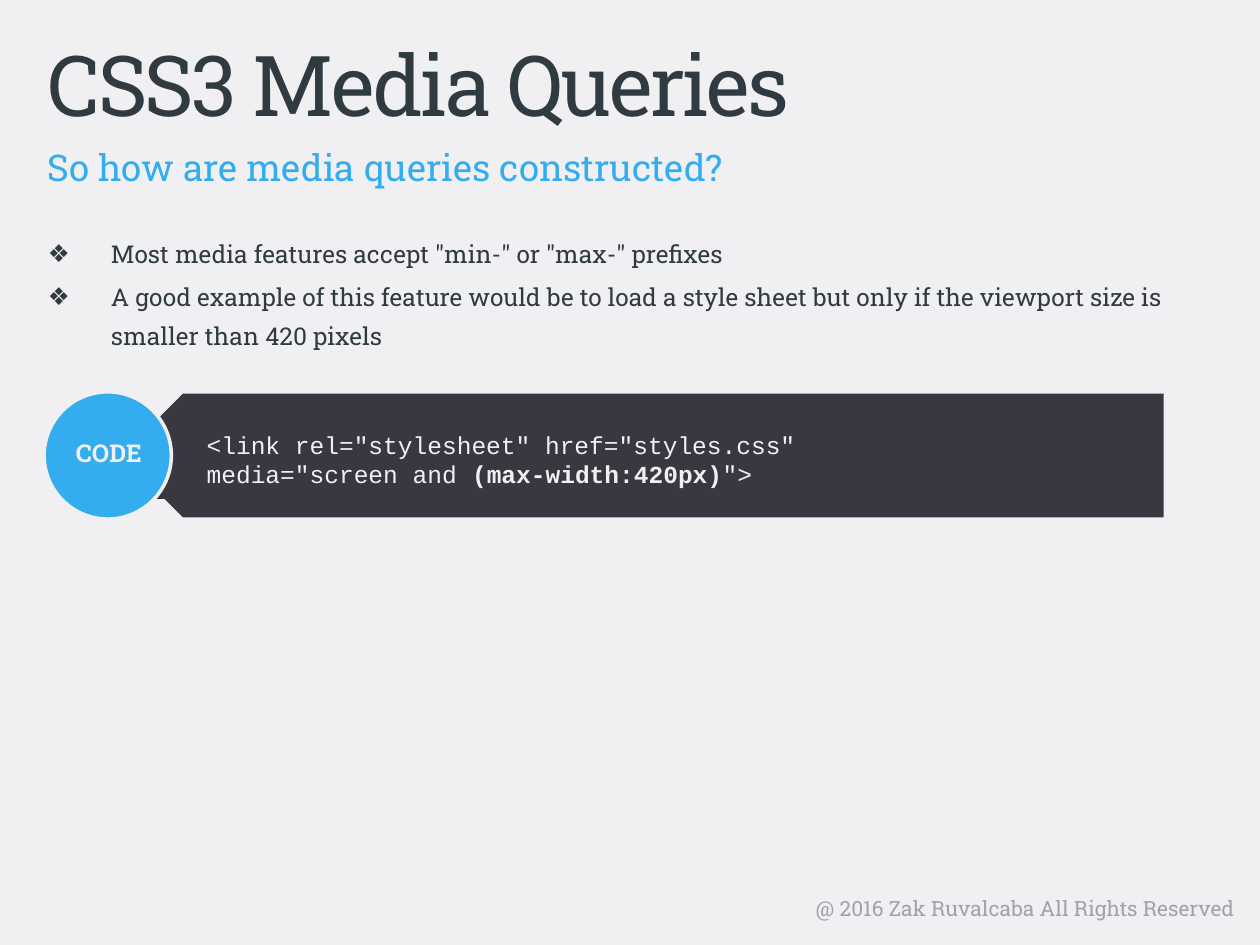
from pptx import Presentation, util as u
from pptx.dml.color import RGBColor
from pptx.enum import shapes, text
from pptx.oxml.ns import qn
from lxml import etree

# Content
TITLE = "CSS3 Media Queries"
SUBTITLE = "So how are media queries constructed?"
BULLETS = [
    'Most media features accept "min-" or "max-" prefixes',
    "A good example of this feature would be to load a style sheet "
    "but only if the viewport size is smaller than 420 pixels",
]
CODE_LINES = [  # each line holds (text, bold) runs
    [('<link rel="stylesheet" href="styles.css"', False)],
    [('media="screen and ', False), ("(max-width:420px)", True), ('">', False)],
]
LABEL = "CODE"
FOOTER = "@ 2016 Zak Ruvalcaba All Rights Reserved"

PAPER, INK, BLUE, DARK, GREY = "F0F0F2", "303B41", "34ADEF", "383841", "A1A1AD"
SLAB, MONO = "Roboto Slab", "Courier New"
LEFT, BAND_TOP, BAND_HEIGHT = 0.28, 3.11, 1.01
ALIGN = text.PP_ALIGN


def color(value):
    return RGBColor.from_string(value)


def place(shape, *box):
    shape.left, shape.top, shape.width, shape.height = map(u.Inches, box)


def style(paragraph, size, ink, face=SLAB, align=ALIGN.LEFT, bold=False):
    font = paragraph.font
    font.name, font.size, font.bold = face, u.Pt(size), bold
    font.color.rgb = color(ink)
    paragraph.alignment = align


def set_bullet(paragraph, mark=None, indent=0):
    properties = paragraph._p.get_or_add_pPr()
    properties.set("marL", str(u.Inches(indent)))
    properties.set("indent", str(-u.Inches(indent)))
    bullet = etree.Element(qn("a:buChar" if mark else "a:buNone"))
    if mark:
        bullet.set("char", mark)
    properties.insert_element_before(bullet, "a:tabLst", "a:defRPr", "a:extLst")


def fill_placeholder(shape, box, lines, size, ink, mark=None, indent=0):
    place(shape, *box)
    frame = shape.text_frame
    frame.text = "\n".join(lines)
    frame.auto_size = text.MSO_AUTO_SIZE.NONE
    frame.vertical_anchor = text.MSO_ANCHOR.TOP
    for paragraph in frame.paragraphs:
        paragraph.line_spacing = 1.3
        paragraph.space_before = u.Pt(size * 0.2)
        set_bullet(paragraph, mark, indent)
        style(paragraph, size, ink)


def add_shape(slide, kind, box, fill, line=None):
    shape = slide.shapes.add_shape(kind, *map(u.Inches, box))
    shape.shadow.inherit = False
    shape.fill.solid()
    shape.fill.fore_color.rgb = color(fill)
    if line:
        shape.line.color.rgb = color(line)
        shape.line.width = u.Pt(2)
    else:
        shape.line.fill.background()
    return shape


def add_text(slide, box, words, size, ink, align, bold=False):
    frame = slide.shapes.add_textbox(*map(u.Inches, box)).text_frame
    frame.word_wrap = True
    frame.text = words
    style(frame.paragraphs[0], size, ink, align=align, bold=bold)


presentation = Presentation()
presentation.slide_width, presentation.slide_height = u.Inches(10), u.Inches(7.5)
slide = presentation.slides.add_slide(presentation.slide_layouts[3])
slide.background.fill.solid()
slide.background.fill.fore_color.rgb = color(PAPER)

# Title, bullets and subtitle
title, body, subtitle = slide.placeholders
fill_placeholder(title, (LEFT, 0.21, 8.82, 0.79), [TITLE], 48, INK)
heading = title.text_frame.paragraphs[0]
heading.line_spacing, heading.space_before = 1.0, u.Pt(0)
heading.runs[0].font._element.set("spc", "-150")
fill_placeholder(body, (LEFT, 1.78, 9.21, 5.12), BULLETS, 14, INK, "❖", 0.5)
fill_placeholder(subtitle, (LEFT, 0.99, 8.82, 0.39), [SUBTITLE], 21, BLUE)

# Code band, pointing left
band = add_shape(slide, shapes.MSO_SHAPE.PENTAGON,
                 (0.94, BAND_TOP, 8.31, BAND_HEIGHT), DARK, PAPER)
band.rotation = 180
code = add_shape(slide, shapes.MSO_SHAPE.RECTANGLE, (1.19, 3.33, 7.82, 0.63), DARK)
frame = code.text_frame
frame.vertical_anchor = text.MSO_ANCHOR.MIDDLE
frame.margin_left, frame.margin_right = u.Inches(0.45), u.Inches(0.11)
frame.margin_top = frame.margin_bottom = u.Inches(0.06)
paragraph = frame.paragraphs[0]
style(paragraph, 14, PAPER, MONO)
for number, line in enumerate(CODE_LINES):
    if number:
        paragraph.add_line_break()
    for words, bold in line:
        run = paragraph.add_run()
        run.text, run.font.bold = words, bold

# Round label and footer
add_shape(slide, shapes.MSO_SHAPE.OVAL,
          (0.35, BAND_TOP, BAND_HEIGHT, BAND_HEIGHT), BLUE, PAPER)
add_text(slide, (0.43, 3.43, 0.87, 0.34), LABEL, 14, PAPER, ALIGN.CENTER, True)
add_text(slide, (5.1, 7.06, 4.8, 0.31), FOOTER, 12, GREY, ALIGN.RIGHT)

presentation.save("out.pptx")
